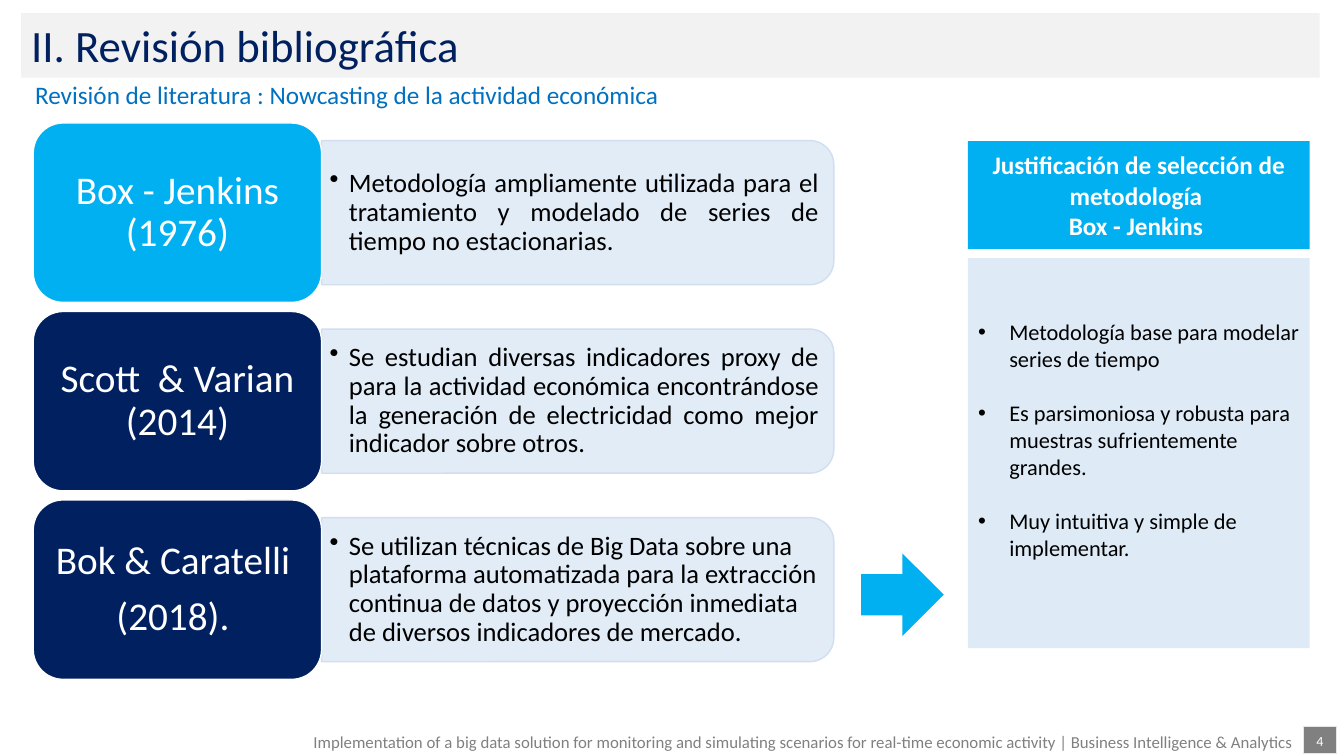
"""Build the literature review slide on nowcasting economic activity."""
from pptx import Presentation
from pptx.dml.color import RGBColor
from pptx.enum import shapes, text
from pptx.oxml import xmlchemy
from pptx.util import Inches, Pt

KIND, ALIGN, ANCHOR = shapes.MSO_SHAPE, text.PP_ALIGN, text.MSO_ANCHOR
SKY, NAVY, PALE, WHITE, GREY = "00B0F0", "002060", "DEEBF7", "FFFFFF", "808080"

TITLE = "II. Revisión bibliográfica"
SUBTITLE = "Revisión de literatura : Nowcasting de la actividad económica"
STUDIES = [
    (["Box - Jenkins (1976)"], SKY, ALIGN.JUSTIFY,
     "Metodología ampliamente utilizada para el tratamiento y modelado de "
     "series de tiempo no estacionarias."),
    (["Scott  & Varian (2014)"], NAVY, ALIGN.JUSTIFY,
     "Se estudian diversas indicadores proxy de para la actividad económica "
     "encontrándose la generación de electricidad como mejor indicador sobre otros."),
    (["Bok & Caratelli ", "(2018). "], NAVY, ALIGN.LEFT,
     "Se utilizan técnicas de Big Data sobre una plataforma automatizada para la "
     "extracción continua de datos y proyección inmediata de diversos indicadores "
     "de mercado."),
]
REASON_HEAD = ["Justificación de selección de metodología ", "Box - Jenkins "]
REASONS = [
    "Metodología base para modelar series de tiempo",
    "Es parsimoniosa y robusta para muestras sufrientemente grandes.",
    "Muy intuitiva y simple de implementar.",
]
FOOTER = ("Implementation of a big data solution for monitoring and simulating scenarios "
          "for real-time economic activity | Business Intelligence & Analytics")
PAGE_NUMBER = "4"

LABEL_LEFT, LABEL_TOP, LABEL_WIDTH, LABEL_HEIGHT = 0.33, 1.22, 2.86, 1.78
ROW_STEP = 1.87
PANEL_WIDTH, PANEL_HEIGHT = 5.08, 1.43
NOTE_WIDTH, NOTE_HEIGHT = 5.01, 1.29
REASON_LEFT, REASON_WIDTH = 9.6, 3.39


def color(code):
    return RGBColor.from_string(code)


def place(box, left, top, width, height):
    frame = dict(left=left, top=top, width=width, height=height)
    for name, value in frame.items():
        setattr(box, name, Inches(value))


def fill(box, code, opacity=100):
    box.fill.solid()
    box.fill.fore_color.rgb = color(code)
    if opacity < 100:
        tint = box.fill._xPr.find(".//" + xmlchemy.qn("a:srgbClr"))
        alpha = xmlchemy.OxmlElement("a:alpha")
        alpha.set("val", str(opacity * 1000))
        tint.append(alpha)


def add_block(page, kind, at, code, line=None, width=1, opacity=100):
    box = page.shapes.add_shape(kind, *map(Inches, at))
    box.shadow.inherit = False
    fill(box, code, opacity)
    if line:
        box.line.color.rgb = color(line)
        box.line.width = Pt(width)
    else:
        box.line.fill.background()
    return box


def write(box, lines, size, code, align=ALIGN.LEFT, bold=False, anchor=ANCHOR.MIDDLE,
          insets=(0.1, 0.05, 0.1, 0.05), spacing=1.0, gap=0, hang=0):
    frame = box.text_frame
    left, top, right, bottom = map(Inches, insets)
    layout = dict(word_wrap=True, auto_size=text.MSO_AUTO_SIZE.NONE, vertical_anchor=anchor,
                  margin_left=left, margin_top=top, margin_right=right, margin_bottom=bottom)
    for name, value in layout.items():
        setattr(frame, name, value)
    for index, line in enumerate(lines):
        para = frame.add_paragraph() if index else frame.paragraphs[0]
        rules = dict(alignment=align, line_spacing=spacing, space_after=Pt(0),
                     space_before=Pt(gap if index else 0))
        for name, value in rules.items():
            setattr(para, name, value)
        if hang:
            props = para._p.get_or_add_pPr()
            props.set("marL", str(Inches(hang)))
            props.set("indent", str(-Inches(hang)))
            bullet = xmlchemy.OxmlElement("a:buChar")
            bullet.set("char", "•")
            props.append(bullet)
        span = para.add_run()
        span.text = line
        for name, value in dict(name="Calibri", size=Pt(size), bold=bold).items():
            setattr(span.font, name, value)
        span.font.color.rgb = color(code)


def add_text(page, at, lines, size, code, **options):
    write(page.shapes.add_textbox(*map(Inches, at)), lines, size, code, **options)


def add_study(page, row, label, code, align, note):
    top = LABEL_TOP + row * ROW_STEP
    middle = top + LABEL_HEIGHT / 2
    note_left = LABEL_LEFT + LABEL_WIDTH
    panel_at = (note_left + (PANEL_WIDTH - PANEL_HEIGHT) / 2, middle - PANEL_WIDTH / 2,
                PANEL_HEIGHT, PANEL_WIDTH)
    panel = add_block(page, KIND.ROUND_2_SAME_RECTANGLE, panel_at, PALE, "D2DEEF", opacity=90)
    panel.rotation = 90
    add_text(page, (note_left, middle - NOTE_HEIGHT / 2, NOTE_WIDTH, NOTE_HEIGHT), [note],
             19, "000000", align=align, insets=(0.08, 0.04, 0.08, 0.04), spacing=0.9, hang=0.19)
    box = add_block(page, KIND.ROUNDED_RECTANGLE,
                    (LABEL_LEFT, top, LABEL_WIDTH, LABEL_HEIGHT), code, WHITE)
    write(box, label, 28, WHITE, align=ALIGN.CENTER, insets=(0.12, 0.06, 0.12, 0.06),
          spacing=0.9, gap=10)


def main():
    deck = Presentation()
    deck.slide_width, deck.slide_height = Inches(13.33), Inches(7.5)
    page = deck.slides.add_slide(deck.slide_layouts[1])

    title, reasons = page.placeholders
    place(title, 0.21, 0.13, 12.88, 0.64)
    fill(title, "F2F2F2")
    write(title, [TITLE], 32, NAVY, anchor=ANCHOR.TOP)
    add_text(page, (0.25, 0.74, 12.07, 0.4), [SUBTITLE], 18, "0070C0", anchor=ANCHOR.TOP)

    for row, study in enumerate(STUDIES):
        add_study(page, row, *study)

    add_block(page, KIND.RIGHT_ARROW, (8.54, 5.49, 0.82, 0.82), SKY)
    head = add_block(page, KIND.RECTANGLE, (REASON_LEFT, 1.4, REASON_WIDTH, 1.07), SKY)
    write(head, REASON_HEAD, 18, WHITE, align=ALIGN.CENTER, bold=True)
    place(reasons, REASON_LEFT, 2.56, REASON_WIDTH, 3.87)
    fill(reasons, PALE)
    write(reasons, REASONS, 16, "000000", insets=(0.1, 0.05, 0.1, 0.32), gap=19.5, hang=0.31)

    add_block(page, KIND.RECTANGLE, (12.93, 7.21, 0.33, 0.27), GREY, "E7E6E6", 0.75)
    add_text(page, (12.85, 7.14, 0.48, 0.43), [PAGE_NUMBER], 10, WHITE, align=ALIGN.CENTER)
    add_text(page, (0.12, 7.21, 12.81, 0.3), [FOOTER], 12, GREY,
             align=ALIGN.RIGHT, anchor=ANCHOR.TOP)
    deck.save("out.pptx")


if __name__ == "__main__":
    main()
